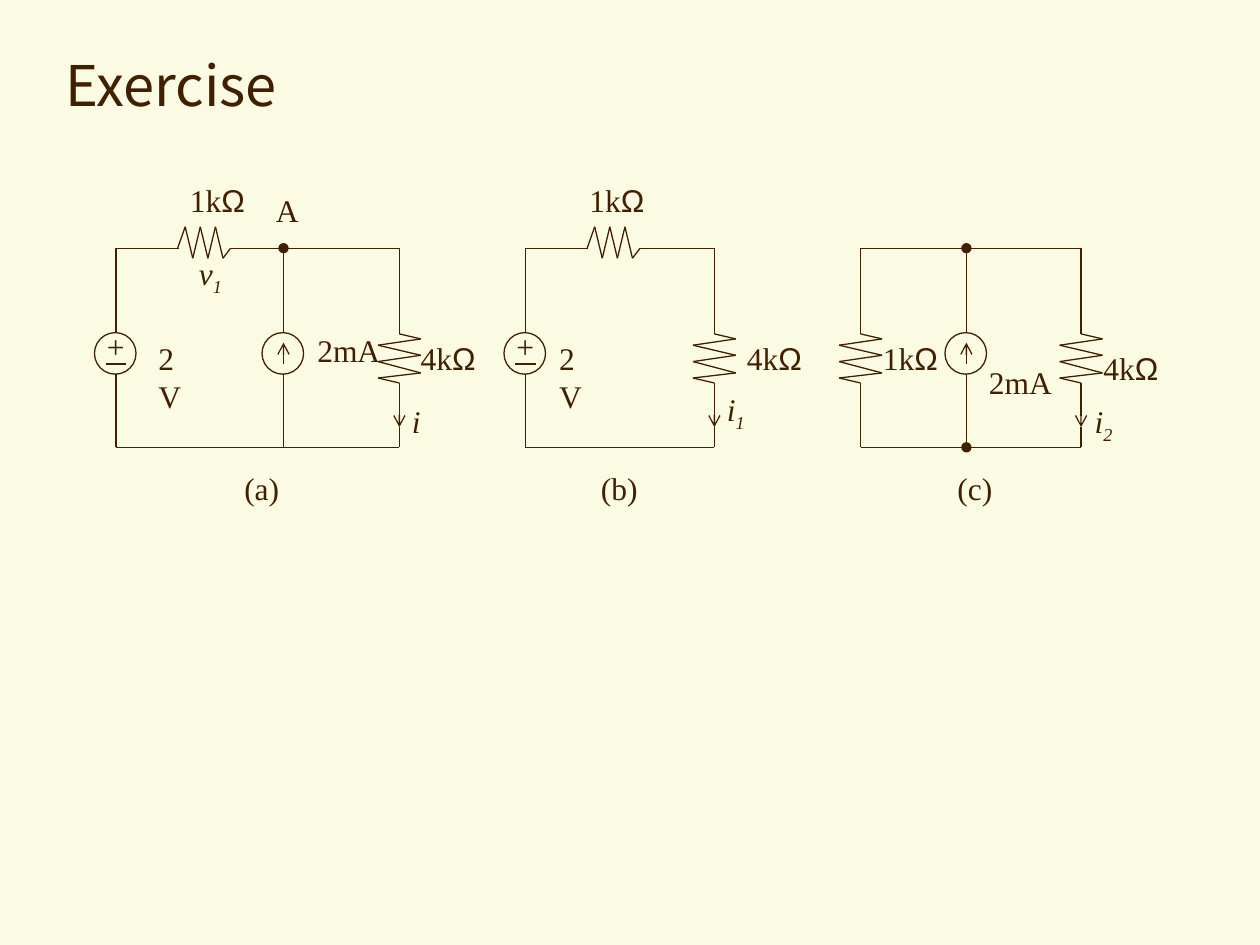
from itertools import pairwise

from lxml import etree
from pptx import Presentation
from pptx.dml.color import RGBColor
from pptx.enum import shapes, text
from pptx.oxml.ns import qn
from pptx.util import Inches, Pt

BROWN = RGBColor(0x40, 0x20, 0x00)
CREAM = RGBColor(0xFB, 0xFA, 0xE2)
TITLE_FONT, LABEL_FONT, OMEGA_FONT = "Noto Sans CJK KR", "Times New Roman", "Arial"

TOP, BOTTOM = 1.97, 3.55
SOURCE_TOP, SOURCE_BOTTOM = 2.64, 2.97
RADIUS = 0.17
# Zigzags as offsets from the start of the component
ACROSS = [(0, 0), (0.06, -0.17), (0.12, 0.08), (0.18, -0.17), (0.24, 0.08),
          (0.3, -0.17), (0.36, 0.08), (0.42, 0)]
DOWN = [(0, 0), (0, 0.18), (0.17, 0.22), (-0.17, 0.27), (0.17, 0.35), (-0.17, 0.4),
        (0.17, 0.49), (-0.17, 0.53), (0, 0.57), (0, 0.75)]
DOWN_TOP = 2.47

# text (an underscore starts a subscript), left, top, width
LABELS = [
    ("v_1", 1.48, 1.97, 0.44),
    ("(a)", 1.84, 3.67, 0.48), ("(b)", 4.67, 3.67, 0.49), ("(c)", 7.5, 3.67, 0.48),
    ("1kΩ", 1.41, 1.39, 0.64), ("A", 2.09, 1.47, 0.38), ("2V", 1.16, 2.64, 0.5),
    ("2mA", 2.42, 2.58, 0.7), ("4kΩ", 3.24, 2.64, 0.64), ("i", 3.17, 3.14, 0.27),
    ("1kΩ", 4.58, 1.39, 0.64), ("2V", 4.34, 2.64, 0.5), ("4kΩ", 5.83, 2.64, 0.64),
    ("i_1", 5.67, 3.05, 0.34),
    ("1kΩ", 6.91, 2.64, 0.64), ("2mA", 7.75, 2.83, 0.7), ("4kΩ", 8.66, 2.72, 0.64),
    ("i_2", 8.59, 3.14, 0.34),
]


def add_title(s, title):
    sp = s.shapes.title
    sp.left, sp.top, sp.width, sp.height = map(Inches, (0.42, 0.25, 9.17, 0.83))
    tf = sp.text_frame
    tf.text = title
    tf.vertical_anchor = text.MSO_ANCHOR.MIDDLE
    p = tf.paragraphs[0]
    p.alignment = text.PP_ALIGN.LEFT
    p.font.name, p.font.size, p.font.color.rgb = TITLE_FONT, Pt(32), BROWN


def add_wire(parent, start, end, head=None, tail=None):
    c = parent.shapes.add_connector(
        shapes.MSO_CONNECTOR.STRAIGHT, *map(Inches, (*start, *end)))
    c.line.color.rgb = BROWN
    c.line.width = Pt(0.75)
    ln = c.line._get_or_add_ln()
    for tag, kind in (("a:headEnd", head), ("a:tailEnd", tail)):
        if kind:
            etree.SubElement(ln, qn(tag), type=kind)
    etree.SubElement(c._element.spPr, qn("a:effectLst"))


def add_label(parent, label, x, y, w):
    base, _, sub = label.partition("_")
    sp = parent.shapes.add_textbox(*map(Inches, (x, y, w, 0.44 if sub else 0.4)))
    tf = sp.text_frame
    tf.word_wrap = False
    tf.auto_size = text.MSO_AUTO_SIZE.SHAPE_TO_FIT_TEXT
    p = tf.paragraphs[0]
    pieces = [base.removesuffix("Ω"), "Ω" if base.endswith("Ω") else "", sub]
    for piece in filter(None, pieces):
        r = p.add_run()
        r.text = piece
        r.font.name = OMEGA_FONT if piece == "Ω" else LABEL_FONT
    if sub:
        r._r.get_or_add_rPr().set("baseline", "-25000")
    p.font.size, p.font.color.rgb = Pt(18), BROWN
    p.font.italic = base in ("i", "v")


def add_resistor(s, x, y, zigzag):
    group = s.shapes.add_group_shape()
    for (x1, y1), (x2, y2) in pairwise(zigzag):
        add_wire(group, (x + x1, y + y1), (x + x2, y + y2))


def add_circle(group, x):
    sp = group.shapes.add_shape(
        shapes.MSO_SHAPE.OVAL, Inches(x - RADIUS), Inches(SOURCE_TOP),
        Inches(0.33), Inches(0.33))
    sp.shadow.inherit = False
    sp.fill.background()
    sp.line.color.rgb = BROWN
    sp.line.width = Pt(0.75)


def add_voltage_branch(s, x):
    add_wire(s, (x, SOURCE_TOP), (x, TOP))
    group = s.shapes.add_group_shape()
    add_label(group, "+", x - RADIUS, 2.55, 0.33)
    add_wire(group, (x - 0.08, 2.89), (x + 0.08, 2.89))
    add_circle(group, x)
    add_wire(s, (x, BOTTOM), (x, SOURCE_BOTTOM))


def add_current_branch(s, x, bottom_node=None):
    add_wire(s, (x, TOP), (x, SOURCE_TOP), head="oval")
    group = s.shapes.add_group_shape()
    add_wire(group, (x, 2.89), (x, 2.72), tail="arrow")
    add_circle(group, x)
    add_wire(s, (x, SOURCE_BOTTOM), (x, BOTTOM), tail=bottom_node)


def add_resistor_branch(s, x, arrow=True):
    add_wire(s, (x, TOP), (x, SOURCE_TOP))
    add_resistor(s, x, DOWN_TOP, DOWN)
    if arrow:
        add_wire(s, (x, 3.14), (x, 3.39), tail="arrow")
    add_wire(s, (x, BOTTOM), (x, 3.39 if arrow else 3.14))


def add_series_top(s, left, right):
    """Top wire with a resistor half an inch from its left end."""
    add_wire(s, (left, TOP), (left + 0.5, TOP))
    add_resistor(s, left + 0.49, TOP, ACROSS)
    add_wire(s, (left + 0.91, TOP), (right, TOP))


def add_full_circuit(s, left, middle, right):
    add_voltage_branch(s, left)
    add_series_top(s, left, right)
    add_current_branch(s, middle)
    add_resistor_branch(s, right)
    add_wire(s, (left, BOTTOM), (right, BOTTOM))


def add_voltage_circuit(s, left, right):
    add_voltage_branch(s, left)
    add_series_top(s, left, right)
    add_resistor_branch(s, right)
    add_wire(s, (left, BOTTOM), (right, BOTTOM))


def add_current_circuit(s, left, middle, right):
    add_resistor_branch(s, left, arrow=False)
    add_current_branch(s, middle, bottom_node="oval")
    add_resistor_branch(s, right)
    for y in (TOP, BOTTOM):
        add_wire(s, (left, y), (right, y))


def main():
    prs = Presentation()
    prs.slide_width, prs.slide_height = Inches(10), Inches(7.5)
    s = prs.slides.add_slide(prs.slide_layouts[5])
    s.background.fill.solid()
    s.background.fill.fore_color.rgb = CREAM
    add_title(s, "Exercise")
    add_full_circuit(s, 0.92, 2.25, 3.17)
    add_voltage_circuit(s, 4.17, 5.67)
    add_current_circuit(s, 6.83, 7.67, 8.58)
    for label in LABELS:
        add_label(s, *label)
    prs.save("out.pptx")


if __name__ == "__main__":
    main()
